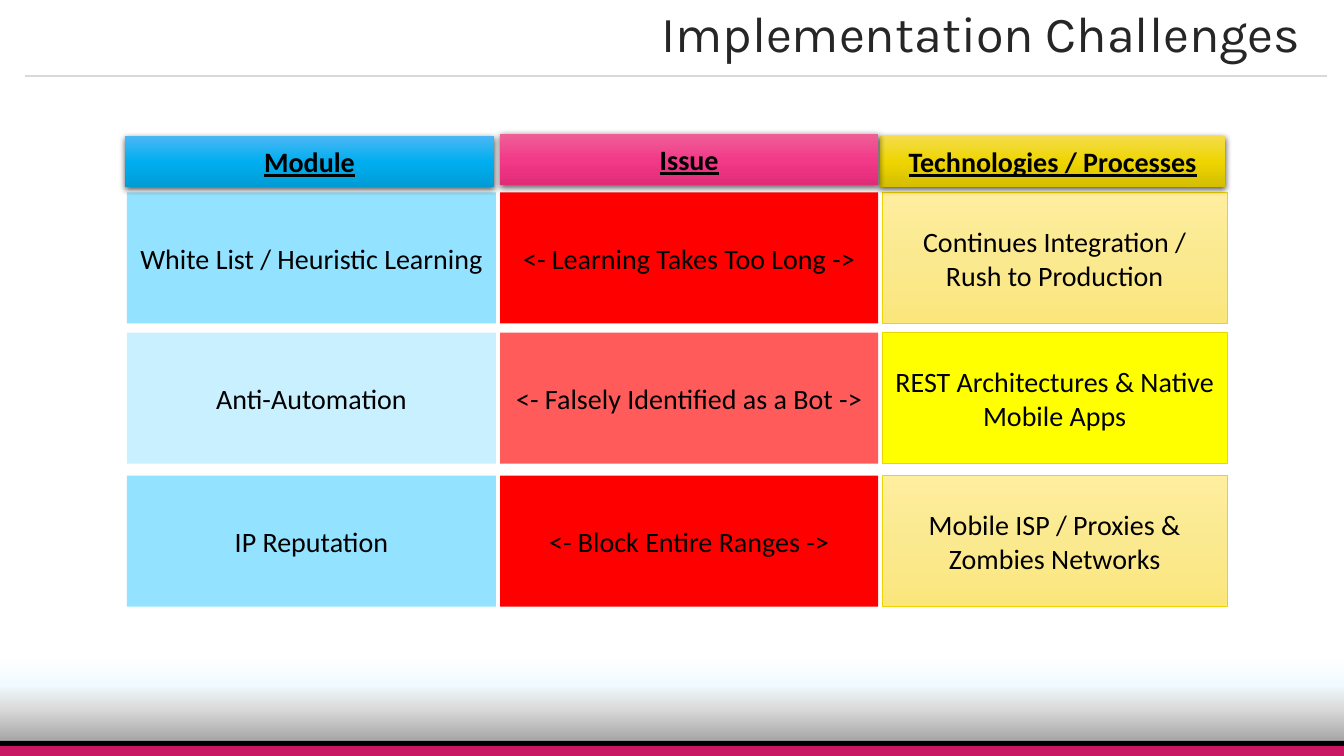
import pptx
import pptx.util
import pptx.dml.color
import pptx.enum.shapes
import pptx.enum.text
import pptx.oxml
import pptx.oxml.ns

WIDTH, HEIGHT = 13.33, 7.5
COLOURS = {
    "white": "FFFFFF", "ice": "F1FBFF", "silver": "D9D9D9", "grey": "A6A6A6",
    "black": "000000", "charcoal": "262626", "magenta": "CA1764",
    "sky": "93E2FF", "pale sky": "C9F0FF", "red": "FF0000", "coral": "FF5B5B",
    "yellow": "FFFF00", "gold": "EED500",
    "cream light": "FFEE9E", "cream": "FBE990", "cream dark": "FBE67C",
    "blue light": "4BB7F4", "blue": "00AEEF", "blue dark": "009BD4",
    "pink light": "EE6097", "pink": "F23A89", "pink dark": "E12A78",
    "gold light": "F4DC4B", "gold dark": "D3BD00",
}
# A gradient is a list of (position in percent, colour name), from top to bottom.
FOOTER_FADE = [(0, "white"), (34, "ice"), (63, "silver"), (100, "grey")]
CREAM_FADE = [(0, "cream light"), (50, "cream"), (100, "cream dark")]
BLUE_FADE = [(0, "blue light"), (50, "blue"), (100, "blue dark")]
PINK_FADE = [(0, "pink light"), (50, "pink"), (100, "pink dark")]
GOLD_FADE = [(0, "gold light"), (50, "gold"), (100, "gold dark")]

ROW_TOPS, ROW_HEIGHT = [1.91, 3.3, 4.72], 1.3
HEADER_HEIGHT = 0.51
COLUMNS = [
    {"left": 1.26, "width": 3.66, "border": None,
     "header": ("Module", 1.24, 1.35, BLUE_FADE),
     "cells": [("White List / Heuristic Learning", "sky"),
               ("Anti-Automation", "pale sky"),
               ("IP Reputation", "sky")]},
    {"left": 8.75, "width": 3.42, "border": "gold",
     "header": ("Technologies / Processes", 8.73, 1.35, GOLD_FADE),
     "cells": [("Continues Integration / Rush to Production", CREAM_FADE),
               ("REST Architectures & Native Mobile Apps", "yellow"),
               ("Mobile ISP / Proxies & Zombies Networks", CREAM_FADE)]},
    {"left": 4.96, "width": 3.75, "border": None,
     "header": ("Issue", 4.96, 1.33, PINK_FADE),
     "cells": [("<- Learning Takes Too Long ->", "red"),
               ("<- Falsely Identified as a Bot ->", "coral"),
               ("<- Block Entire Ranges ->", "red")]},
]


def colour(name):
    return pptx.dml.color.RGBColor.from_string(COLOURS[name])


def inches(*lengths):
    return [pptx.util.Inches(length) for length in lengths]


def drawing_element(xml):
    """Parse one element, given without its namespace declaration."""
    tag, rest = xml.split(" ", 1)
    return pptx.oxml.parse_xml(f"{tag} {pptx.oxml.ns.nsdecls('a')} {rest}")


def fill_gradient(shape, stops):
    shape.fill.gradient()
    shape.fill.gradient_angle = 270
    stop_list = shape.element.spPr.find(".//" + pptx.oxml.ns.qn("a:gsLst"))
    for stop in list(stop_list):
        stop_list.remove(stop)
    for position, name in stops:
        stop_list.append(drawing_element(
            f'<a:gs pos="{position * 1000}"><a:srgbClr val="{COLOURS[name]}"/></a:gs>'))


def add_rectangle(slide, left, top, width, height, fill, border=None):
    """Add a flat rectangle; fill is a colour name or a gradient."""
    shape = slide.shapes.add_shape(
        pptx.enum.shapes.MSO_SHAPE.RECTANGLE, *inches(left, top, width, height))
    shape.shadow.inherit = False
    if isinstance(fill, str):
        shape.fill.solid()
        shape.fill.fore_color.rgb = colour(fill)
    else:
        fill_gradient(shape, fill)
    if border:
        shape.line.color.rgb = colour(border)
        shape.line.width = pptx.util.Pt(0.5)
    else:
        shape.line.fill.background()
    return shape


def write_label(shape, text, heading=False):
    frame = shape.text_frame
    frame.text = text
    frame.word_wrap = True
    frame.vertical_anchor = pptx.enum.text.MSO_ANCHOR.MIDDLE
    paragraph = frame.paragraphs[0]
    paragraph.alignment = pptx.enum.text.PP_ALIGN.CENTER
    font = paragraph.runs[0].font
    font.name = "Calibri"
    font.size = pptx.util.Pt(20)
    font.color.rgb = colour("black")
    if heading:
        font.bold = True
        font.underline = True


def add_drop_shadow(shape):
    effects = shape.element.spPr.find(pptx.oxml.ns.qn("a:effectLst"))
    effects.append(drawing_element(
        f'<a:outerShdw blurRad="{pptx.util.Pt(4.5)}" dist="{pptx.util.Pt(1.5)}" '
        f'dir="5400000" rotWithShape="0"><a:srgbClr val="{COLOURS["black"]}">'
        '<a:alpha val="63000"/></a:srgbClr></a:outerShdw>'))


def add_footer(slide):
    add_rectangle(slide, 0, 6.5, WIDTH, 0.85, FOOTER_FADE)
    add_rectangle(slide, 0, 7.36, WIDTH, HEIGHT - 7.36, "magenta")
    add_rectangle(slide, 0, 7.35, WIDTH, 0.05, "black")


def format_title(slide, text):
    title = slide.shapes.title
    title.left, title.top, title.width, title.height = inches(2.75, 0, 10.25, 0.67)
    frame = title.text_frame
    frame.text = text
    frame.word_wrap = True
    frame.auto_size = pptx.enum.text.MSO_AUTO_SIZE.NONE
    frame.vertical_anchor = pptx.enum.text.MSO_ANCHOR.BOTTOM
    paragraph = frame.paragraphs[0]
    paragraph.alignment = pptx.enum.text.PP_ALIGN.RIGHT
    paragraph.line_spacing = 0.8
    font = paragraph.runs[0].font
    font.name = "Karla"
    font.size = pptx.util.Pt(36)
    font.color.rgb = colour("charcoal")


def add_title_rule(slide):
    rule = slide.shapes.add_connector(
        pptx.enum.shapes.MSO_CONNECTOR.STRAIGHT, *inches(13.16, 0.75, 0.25, 0.75))
    rule.line.color.rgb = colour("silver")
    rule.line.width = pptx.util.Pt(1.5)
    rule.element.spPr.append(drawing_element("<a:effectLst />"))


def add_column_cells(slide, column):
    for top, (text, fill) in zip(ROW_TOPS, column["cells"]):
        cell = add_rectangle(slide, column["left"], top, column["width"],
                             ROW_HEIGHT, fill, column["border"])
        write_label(cell, text)


def add_column_header(slide, column):
    text, left, top, fill = column["header"]
    header = add_rectangle(slide, left, top, column["width"], HEADER_HEIGHT, fill)
    add_drop_shadow(header)
    write_label(header, text, heading=True)


def main():
    presentation = pptx.Presentation()
    presentation.slide_width, presentation.slide_height = inches(WIDTH, HEIGHT)
    slide = presentation.slides.add_slide(presentation.slide_layouts[5])
    add_footer(slide)
    format_title(slide, "Implementation Challenges")
    add_title_rule(slide)
    for column in COLUMNS:
        add_column_cells(slide, column)
    for column in COLUMNS:
        add_column_header(slide, column)
    presentation.save("out.pptx")


if __name__ == "__main__":
    main()
